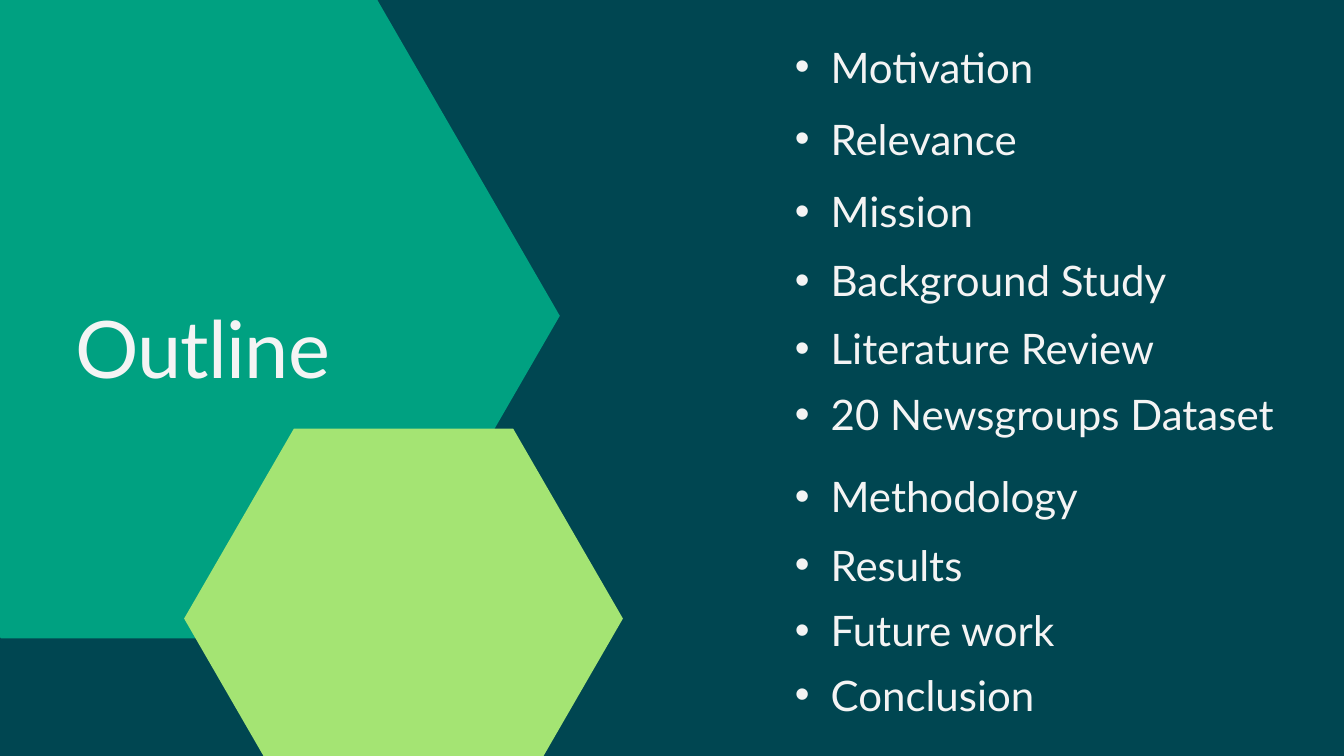
"""Build the outline slide with two hexagons and a bulleted agenda."""
import pptx
import pptx.dml.color
import pptx.enum.text
import pptx.oxml.ns
import pptx.util
from lxml import etree

Pt = pptx.util.Pt

SLIDE_SIZE = (1440, 810)
BACKGROUND, TEXT_COLOR, FONT = "004651", "F4F4F4", "Lato"
HEXAGONS = [
    (-198.72, -7.2, 798.48, 691.2, "00A181"),
    (197.28, 459.36, 470.16, 406.8, "A4E473"),
]
TITLE = "Outline"
AGENDA = [
    ("Motivation", 35.2),
    ("Relevance", 112.4),
    ("Mission", 190),
    ("Background Study", 263.5),
    ("Literature Review", 337),
    ("20 Newsgroups Dataset", 407.5),
    ("Methodology", 495.4),
    ("Results", 568.8),
    ("Future work", 638.5),
    ("Conclusion", 707.8),
]
AGENDA_LEFT, AGENDA_WIDTH, AGENDA_HEIGHT = 813.6, 562, 60
BULLET_MARGIN, BULLET_HANG = 76.4, 38.2


def set_fill(fill, color):
    fill.solid()
    fill.fore_color.rgb = pptx.dml.color.RGBColor.from_string(color)


def add_hexagon(slide, left, top, width, height, color):
    right, middle, bottom = left + width, top + height / 2, top + height
    inner_left, inner_right = left + width / 4, right - width / 4
    corners = [(inner_right, bottom), (inner_left, bottom), (left, middle),
               (inner_left, top), (inner_right, top)]
    builder = slide.shapes.build_freeform(Pt(right), Pt(middle))
    builder.add_line_segments([(Pt(x), Pt(y)) for x, y in corners], close=True)
    shape = builder.convert_to_shape()
    shape.shadow.inherit = False
    set_fill(shape.fill, color)
    shape.line.fill.background()


def add_text(slide, text, *, left, top, width, height, size, line_spacing,
             letter_spacing=0, bullet=False):
    shape = slide.shapes.add_textbox(Pt(left), Pt(top), Pt(width), Pt(height))
    frame = shape.text_frame
    frame.word_wrap = True
    frame.auto_size = pptx.enum.text.MSO_AUTO_SIZE.SHAPE_TO_FIT_TEXT
    frame.margin_left = frame.margin_top = frame.margin_right = frame.margin_bottom = 0
    paragraph = frame.paragraphs[0]
    paragraph.line_spacing = Pt(line_spacing)
    if bullet:
        paragraph.level = 1
        properties = paragraph._p.get_or_add_pPr()
        properties.set("marL", str(Pt(BULLET_MARGIN)))
        properties.set("indent", str(-Pt(BULLET_HANG)))
        font = etree.SubElement(properties, pptx.oxml.ns.qn("a:buFont"))
        font.set("typeface", "Arial")
        etree.SubElement(properties, pptx.oxml.ns.qn("a:buChar")).set("char", "•")
    run = paragraph.add_run()
    run.text = text
    run.font.name = FONT
    run.font.size = Pt(size)
    run.font.color.rgb = pptx.dml.color.RGBColor.from_string(TEXT_COLOR)
    if letter_spacing:
        run._r.get_or_add_rPr().set("spc", str(round(letter_spacing * 100)))


def main():
    presentation = pptx.Presentation()
    presentation.slide_width, presentation.slide_height = map(Pt, SLIDE_SIZE)
    slide = presentation.slides.add_slide(presentation.slide_layouts[6])
    set_fill(slide.background.fill, BACKGROUND)
    for hexagon in HEXAGONS:
        add_hexagon(slide, *hexagon)
    add_text(slide, TITLE, left=80.6, top=321, width=351.4, height=101.5,
             size=85, line_spacing=102, letter_spacing=-0.8)
    for text, top in AGENDA:
        add_text(slide, text, left=AGENDA_LEFT, top=top, width=AGENDA_WIDTH,
                 height=AGENDA_HEIGHT, size=45, line_spacing=63, bullet=True)
    presentation.save("out.pptx")


if __name__ == "__main__":
    main()
